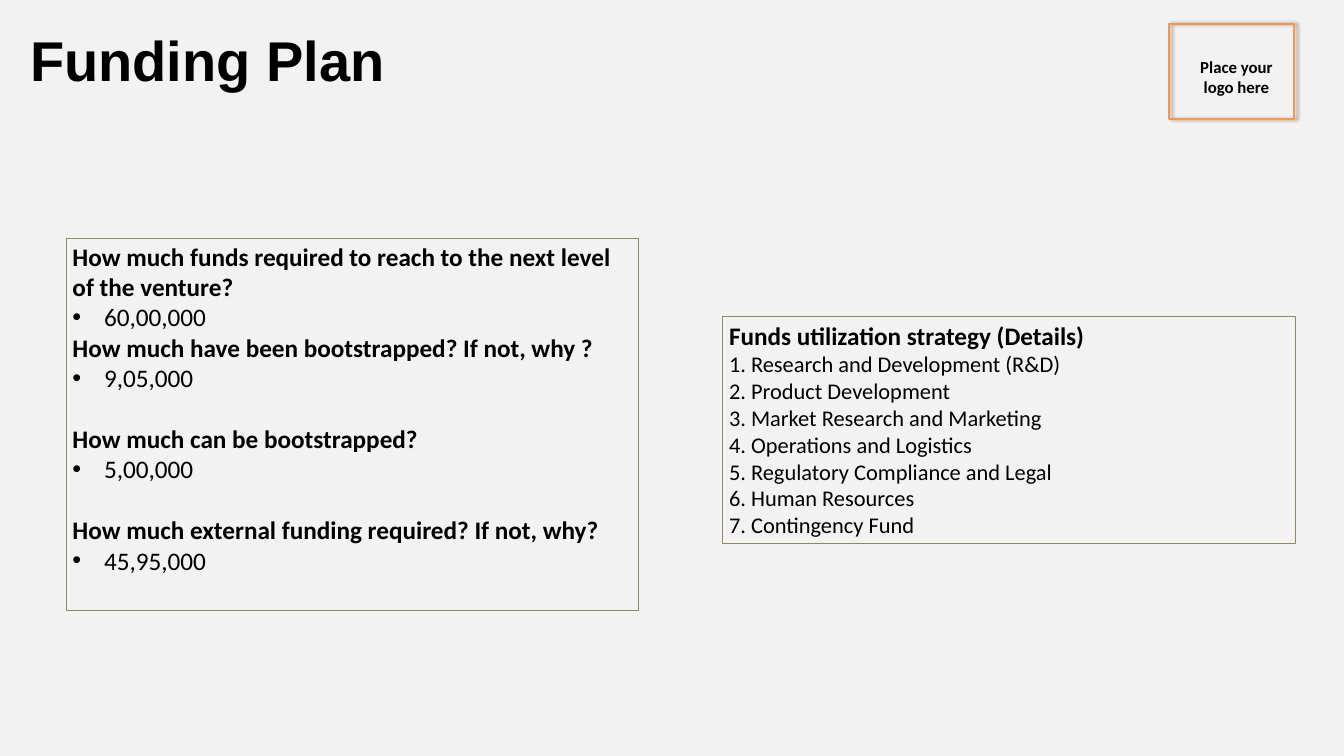
import dataclasses
import typing

import pptx
import pptx.dml.color
import pptx.enum.shapes
import pptx.enum.text
import pptx.oxml
import pptx.oxml.ns
import pptx.util
from pptx.util import Inches

HUES = {"back": "F2F2F2", "text": "000000", "panel": "948A54", "frame": "F79646"}
ALIGN = pptx.enum.text.PP_ALIGN
SPACE = pptx.oxml.ns.nsdecls("a")
INDENT = 0.47
GAP = 33


@dataclasses.dataclass
class Line:
    text: str
    size: float = 27
    bold: bool = True
    face: str = "Calibri"
    align: typing.Any = ALIGN.LEFT
    bullet: bool = False
    before: float = 0


@dataclasses.dataclass
class Box:
    left: float
    top: float
    width: float
    height: float


@dataclasses.dataclass
class Panel:
    box: Box
    lines: list[Line]


def color(name: str) -> pptx.dml.color.RGBColor:
    return pptx.dml.color.RGBColor.from_string(HUES[name])


def place(box: Box) -> list[int]:
    return [Inches(side) for side in dataclasses.astuple(box)]


def mark(para: typing.Any) -> None:
    props = para._p.get_or_add_pPr()
    props.set("marL", str(Inches(INDENT)))
    props.set("indent", str(-Inches(INDENT)))
    for tag in ('buFont {} typeface="Arial"', 'buChar {} char="•"'):
        props.append(pptx.oxml.parse_xml(f"<a:{tag.format(SPACE)}/>"))


def write(frame: typing.Any, lines: list[Line], pad: tuple[float, float]) -> None:
    frame.word_wrap = True
    frame.vertical_anchor = pptx.enum.text.MSO_ANCHOR.TOP
    frame.margin_left = frame.margin_right = Inches(pad[0])
    frame.margin_top = frame.margin_bottom = Inches(pad[1])
    for index, line in enumerate(lines):
        para = frame.add_paragraph() if index else frame.paragraphs[0]
        para.text = line.text
        para.alignment = line.align
        if line.before:
            para.space_before = pptx.util.Pt(line.before)
        if line.bullet:
            mark(para)
        font = para.font
        font.size = pptx.util.Pt(line.size)
        font.bold = line.bold
        font.name = line.face
        font.color.rgb = color("text")


def outline(slide: typing.Any, box: Box, hue: str, width: float) -> typing.Any:
    kind = pptx.enum.shapes.MSO_SHAPE.RECTANGLE
    shape = slide.shapes.add_shape(kind, *place(box))
    shape.shadow.inherit = False
    shape.fill.background()
    shape.line.color.rgb = color(hue)
    shape.line.width = pptx.util.Pt(width)
    return shape


def shade(shape: typing.Any) -> None:
    blur, dist = pptx.util.Pt(4), pptx.util.Pt(3)
    effect = shape._element.spPr.find(pptx.oxml.ns.qn("a:effectLst"))
    effect.append(pptx.oxml.parse_xml(
        f'<a:outerShdw {SPACE} blurRad="{blur}" dist="{dist}" dir="0" rotWithShape="0">'
        f'<a:srgbClr val="{HUES["text"]}"><a:alpha val="40000"/></a:srgbClr>'
        "</a:outerShdw>"))


def label(slide: typing.Any, box: Box, line: Line, pad: tuple[float, float]) -> None:
    write(slide.shapes.add_textbox(*place(box)).text_frame, [line], pad)


def answers() -> list[Line]:
    pairs = [
        ("How much funds required to reach to the next level of the venture?", "60,00,000", 0),
        ("How much have been bootstrapped? If not, why ?", "9,05,000", 0),
        ("How much can be bootstrapped?", "5,00,000", GAP),
        ("How much external funding required? If not, why?", "45,95,000", GAP),
    ]
    lines = []
    for ask, sum_, gap in pairs:
        lines += [Line(ask, before=gap), Line(sum_, bold=False, bullet=True)]
    return lines


def uses() -> list[Line]:
    names = [
        "Research and Development (R&D)", "Product Development",
        "Market Research and Marketing", "Operations and Logistics",
        "Regulatory Compliance and Legal", "Human Resources", "Contingency Fund",
    ]
    items = [Line(f"{rank}. {name}", 24, False) for rank, name in enumerate(names, 1)]
    return [Line("Funds utilization strategy (Details)"), *items]


def main() -> None:
    """Build the funding plan slide."""
    deck = pptx.Presentation()
    deck.slide_width, deck.slide_height = Inches(20), Inches(11.25)
    slide = deck.slides.add_slide(deck.slide_layouts[6])
    slide.background.fill.solid()
    slide.background.fill.fore_color.rgb = color("back")
    panels = [
        Panel(Box(0.98, 3.54, 8.52, 5.55), answers()),
        Panel(Box(10.75, 4.71, 8.52, 3.38), uses()),
    ]
    for panel in panels:
        shape = outline(slide, panel.box, "panel", 0.75)
        write(shape.text_frame, panel.lines, (0.1, 0.05))
    title = Line("Funding Plan ", 60, face="Arial", align=ALIGN.CENTER)
    label(slide, Box(-5.42, 0.28, 17.25, 0.71), title, (0.2, 0.1))
    shade(outline(slide, Box(17.4, 0.36, 1.85, 1.41), "frame", 2))
    hint = Line("Place your logo\u00a0here".replace("\u00a0", " "), 18, align=ALIGN.CENTER)
    label(slide, Box(17.62, 0.8, 1.56, 0.68), hint, (0.07, 0.04))
    deck.save("out.pptx")


if __name__ == "__main__":
    main()
